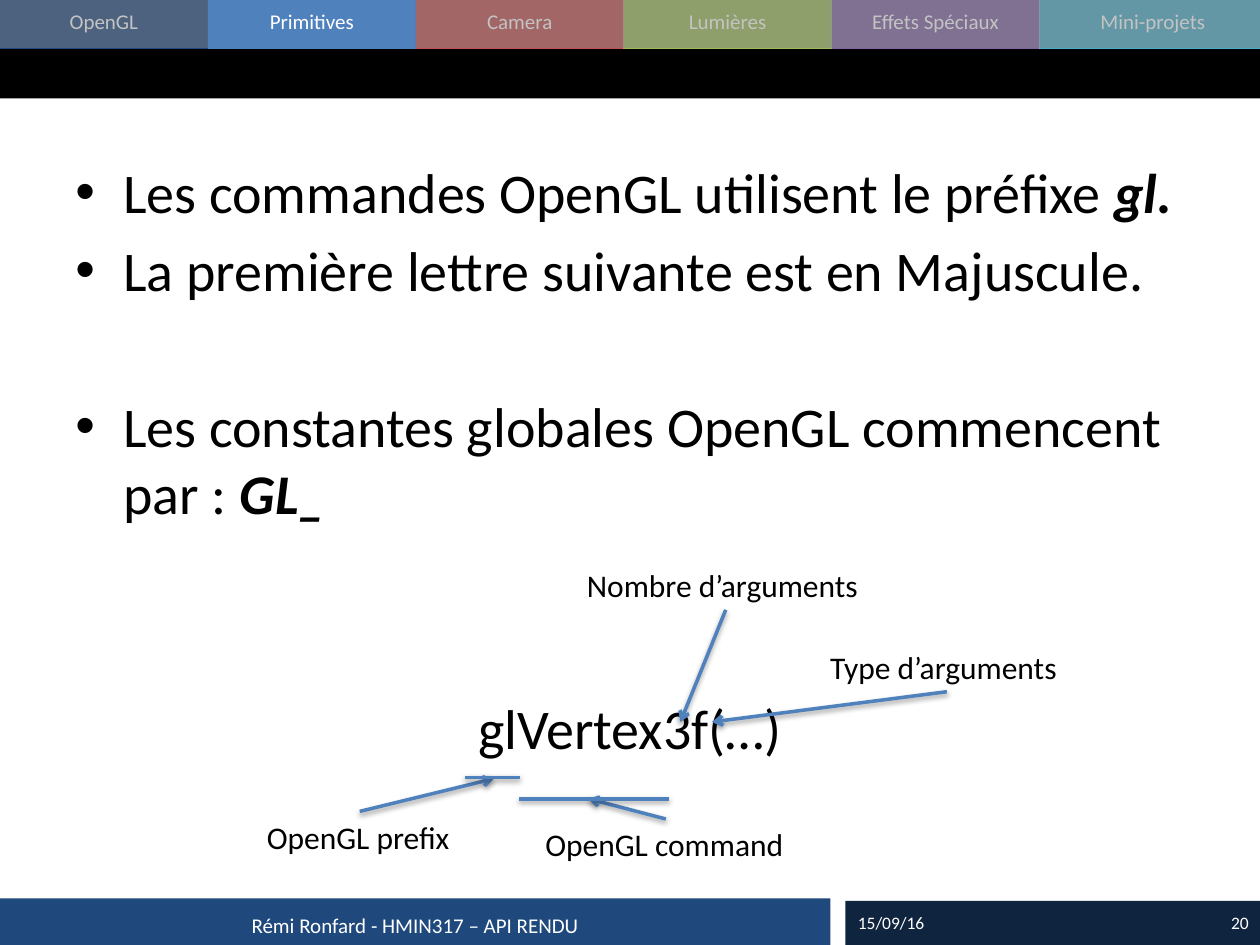
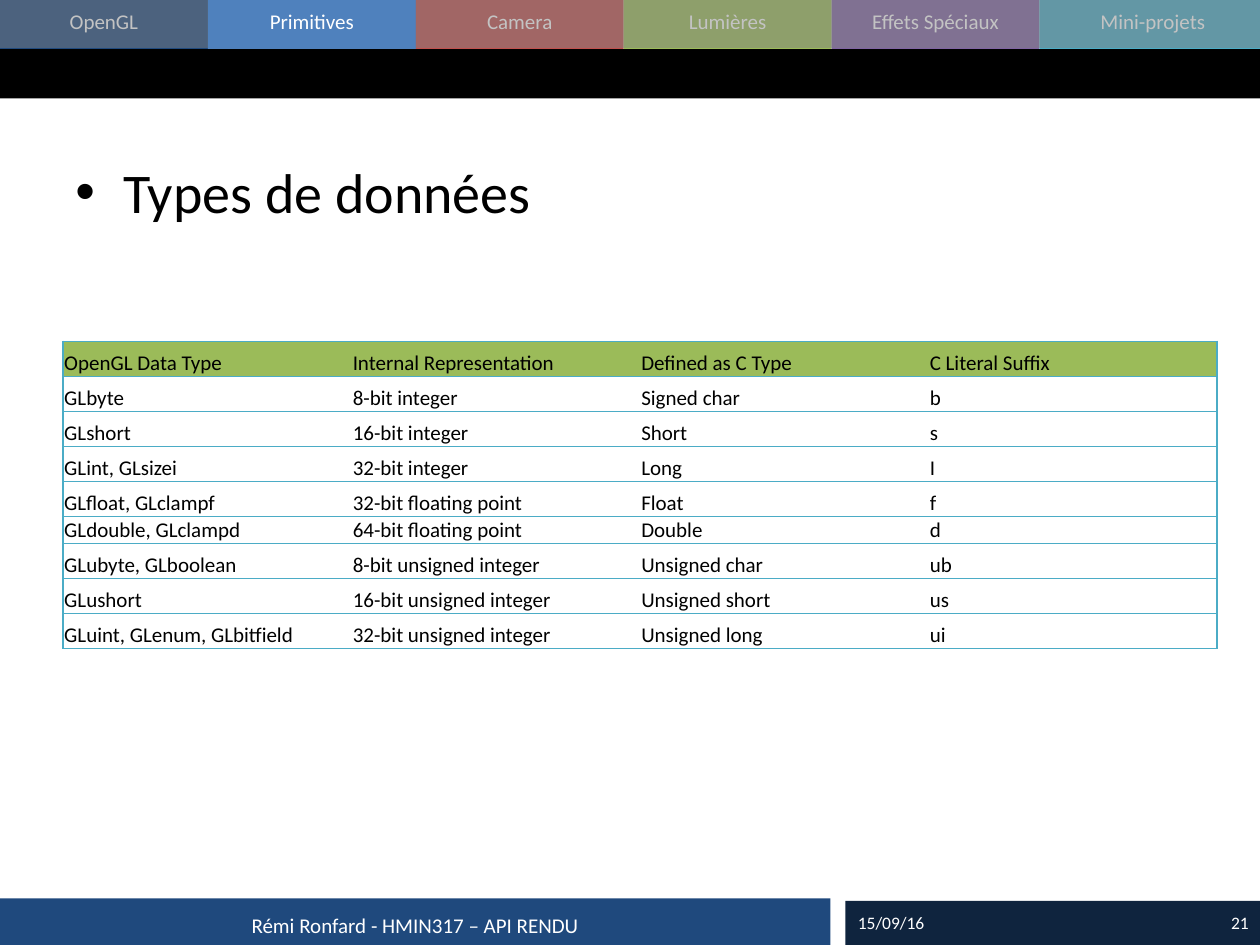
from dataclasses import dataclass
from lxml.etree import SubElement
from pptx import Presentation
from pptx.dml.color import RGBColor
from pptx.enum.shapes import MSO_CONNECTOR, MSO_SHAPE
from pptx.enum.text import MSO_ANCHOR as ANCHOR, MSO_AUTO_SIZE as AUTO, PP_ALIGN as ALIGN
from pptx.oxml.ns import qn
from pptx.util import Emu, Inches, Pt

COLORS = {
    "navy": "1F497D", "blue": "4F81BD", "red": "C0504D", "green": "9BBB59",
    "purple": "8064A2", "teal": "4BACC6", "midnight": "0F243E",
    "veil": "808080", "black": "000000", "white": "FFFFFF",
}
FONT = "Calibri"
WIDTH, HEIGHT = Inches(10), Inches(7.5)
COL, ROW = WIDTH / 100, HEIGHT / 75
TAB_W, TAB_H = 16.5, 3.9
TABS = [("OpenGL", "navy"), ("Primitives", "blue"), ("Camera", "red"),
        ("Lumières", "green"), ("Effets Spéciaux", "purple"), ("Mini-projets", "teal")]
ACTIVE_TAB = 1
NO_STYLE = "{2D5ABB26-0587-4C30-8999-92F81FD0307C}"
PARA_GAP, BLANK_LINE = 6, 45


@dataclass
class Box:
    x: float
    y: float
    w: float
    h: float

    def inner(self, x, y, w, h):
        return Box(self.x + x, self.y + y, w, h)

    def point(self, x, y):
        return self.x + x, self.y + y

    def emu(self):
        return [Emu(round(n)) for n in (self.x * COL, self.y * ROW, self.w * COL, self.h * ROW)]


HEADER = Box(0, 0, 100, 7.8)
BODY = Box(5, 12, 90, 55)
DIAGRAM = Box(20, 44, 66, 25)
TYPES = Box(5, 27.1, 91.6, 24.3)
FOOTER = Box(0, 71.3, 100, 3.7)

BULLETS = [
    ("Les commandes OpenGL utilisent le préfixe ", "gl.", 0),
    ("La première lettre suivante est en Majuscule.", "", 0),
    ("Les constantes globales OpenGL commencent par : ", "GL_", 1),
]
DATA_TYPES = [
    ("OpenGL Data Type", "Internal Representation", "Defined as C Type", "C Literal Suffix"),
    ("GLbyte", "8-bit integer", "Signed char", "b"),
    ("GLshort", "16-bit integer", "Short", "s"),
    ("GLint, GLsizei", "32-bit integer", "Long", "I"),
    ("GLfloat, GLclampf", "32-bit floating point", "Float", "f"),
    ("GLdouble, GLclampd", "64-bit floating point", "Double", "d"),
    ("GLubyte, GLboolean", "8-bit unsigned integer", "Unsigned char", "ub"),
    ("GLushort", "16-bit unsigned integer", "Unsigned short", "us"),
    ("GLuint, GLenum, GLbitfield", "32-bit unsigned integer", "Unsigned long", "ui"),
]
TIGHT_ROW = 5


def rgb(color):
    return RGBColor.from_string(COLORS[color])


def add_text(frame, text, *, size=12, color="black", align=ALIGN.LEFT,
             strong="", before=0, bullet=False):
    para = frame.paragraphs[0]
    if para.runs:
        para = frame.add_paragraph()
    para.alignment = align
    para.space_before = Pt(before)
    if bullet:
        props = para._p.get_or_add_pPr()
        props.set("marL", str(Inches(0.38)))
        props.set("indent", str(-Inches(0.38)))
        SubElement(props, qn("a:buFont"), typeface="Arial")
        SubElement(props, qn("a:buChar"), char="•")
    for words, emphasis in ((text, False), (strong, True)):
        if words:
            run = para.add_run()
            run.text = words
            run.font.name, run.font.size = FONT, Pt(size)
            run.font.bold = run.font.italic = emphasis
            run.font.color.rgb = rgb(color)


def add_frame(slide, box, anchor=ANCHOR.TOP, wrap=True):
    frame = slide.shapes.add_textbox(*box.emu()).text_frame
    frame.word_wrap = wrap
    frame.vertical_anchor = anchor
    frame.auto_size = AUTO.NONE if wrap else AUTO.SHAPE_TO_FIT_TEXT
    return frame


def add_band(slide, box, color, opacity=None):
    band = slide.shapes.add_shape(MSO_SHAPE.RECTANGLE, *box.emu())
    band.shadow.inherit = False
    band.line.fill.background()
    band.fill.solid()
    band.fill.fore_color.rgb = rgb(color)
    if opacity:
        tint = band._element.spPr.find(qn("a:solidFill"))[0]
        SubElement(tint, qn("a:alpha"), val=str(opacity * 1000))


def add_line(slide, start, end, arrow=False):
    ends = [Emu(round(n)) for x, y in (start, end) for n in (x * COL, y * ROW)]
    line = slide.shapes.add_connector(MSO_CONNECTOR.STRAIGHT, *ends)
    line.line.color.rgb = rgb("blue")
    line.line.width = Pt(2)
    props = line._element.spPr
    if arrow:
        SubElement(props.find(qn("a:ln")), qn("a:tailEnd"), type="arrow")
    effects = SubElement(props, qn("a:effectLst"))
    shadow = SubElement(effects, qn("a:outerShdw"), blurRad=str(Pt(3.1)),
                        dist=str(Pt(1.6)), dir="5400000", rotWithShape="0")
    shade = SubElement(shadow, qn("a:srgbClr"), val=COLORS["black"])
    SubElement(shade, qn("a:alpha"), val="38000")


def draw_header(slide, box):
    last = len(TABS) - 1
    tabs = [box.inner(i * TAB_W, 0, 18 if i == last else TAB_W, TAB_H) for i in range(last + 1)]
    for tab, (_, color) in zip(tabs, TABS):
        add_band(slide, tab, color)
    add_band(slide, box.inner(0, TAB_H, box.w, TAB_H), "black")
    for tab, (topic, _) in zip(tabs, TABS):
        add_text(add_frame(slide, tab.inner(0, 0.2, tab.w, 3)), topic,
                 color="white", align=ALIGN.CENTER)
    after = (ACTIVE_TAB + 1) * TAB_W
    add_band(slide, box.inner(after, 0, box.w - after, TAB_H - 0.1), "veil", 47)
    add_band(slide, box.inner(0, 0, ACTIVE_TAB * TAB_W, TAB_H - 0.1), "veil", 47)


def draw_footer(slide, box, number):
    course = box.inner(0, 0, 65.9, box.h)
    stamp = box.inner(67.1, 0.2, 32.9, box.h - 0.2)
    add_band(slide, course, "navy")
    add_band(slide, stamp, "midnight")
    for area, text, size, align in (
        (course.inner(0, 0.2, course.w, 3.8), "Rémi Ronfard - HMIN317 – API RENDU", 12, ALIGN.CENTER),
        (stamp.inner(9.7, -0.1, 23.3, 3.7), str(number), 10, ALIGN.RIGHT),
        (stamp.inner(0, -0.1, 9.8, 3.7), "15/09/16", 10, ALIGN.LEFT),
    ):
        add_text(add_frame(slide, area, ANCHOR.MIDDLE), text,
                 size=size, color="white", align=align)


def draw_naming_rules(slide, box):
    frame = add_frame(slide, box)
    for i, (rule, prefix, blanks) in enumerate(BULLETS):
        gap = PARA_GAP + blanks * BLANK_LINE if i else 0
        add_text(frame, rule, strong=prefix, size=32, bullet=True, before=gap)
    add_text(frame, "glVertex3f(…)", size=32, align=ALIGN.CENTER,
             before=PARA_GAP + 2 * BLANK_LINE)


def draw_diagram(slide, box):
    for text, label, side, target in (
        ("OpenGL prefix", (0.2, 20.4, 16.7, 4), 0, (19.2, 17.8)),
        ("OpenGL command", (22.3, 21, 21.1, 4), 0, (26.7, 19.4)),
        ("Nombre d’arguments", (25.6, 0.4, 24, 4), 1, (34, 13.3)),
        ("Type d’arguments", (44.9, 6.9, 20.5, 4), 1, (36.5, 13.3)),
    ):
        x, y, w, h = label
        add_text(add_frame(slide, box.inner(*label), wrap=False), text, size=18)
        add_line(slide, box.point(x + w / 2, y + side * h), box.point(*target), arrow=True)
    for left, right, y in ((16.9, 21.3, 17.7), (21.2, 33.1, 19.4)):
        add_line(slide, box.point(left, y), box.point(right, y))


def set_borders(cell, visible):
    props = cell._tc.get_or_add_tcPr()
    for side in "LRTB":
        edge = SubElement(props, qn(f"a:ln{side}"), w=str(Pt(1)))
        if side in visible:
            fill = SubElement(edge, qn("a:solidFill"))
            SubElement(fill, qn("a:srgbClr"), val=COLORS["teal"])
        else:
            SubElement(edge, qn("a:noFill"))


def draw_types(slide, box):
    rows, cols = len(DATA_TYPES), len(DATA_TYPES[0])
    table = slide.shapes.add_table(rows, cols, *box.emu()).table
    table._tbl.tblPr.find(qn("a:tableStyleId")).text = NO_STYLE
    for column in table.columns:
        column.width = Emu(round(box.w / cols * COL))
    for r, entries in enumerate(DATA_TYPES):
        table.rows[r].height = Emu(round((2.1 if r == TIGHT_ROW else 2.78) * ROW))
        for c, entry in enumerate(entries):
            cell = table.cell(r, c)
            cell.margin_left = cell.margin_right = cell.margin_top = Inches(0.01)
            cell.margin_bottom = 0
            cell.vertical_anchor = ANCHOR.BOTTOM
            set_borders(cell, "TB" + ("L" if c == 0 else "R" if c == cols - 1 else ""))
            cell.fill.solid()
            cell.fill.fore_color.rgb = rgb("white" if r else "green")
            add_text(cell.text_frame, entry)


def new_slide(deck, number):
    slide = deck.slides.add_slide(deck.slide_layouts[6])
    draw_header(slide, HEADER)
    draw_footer(slide, FOOTER, number)
    return slide


def main():
    deck = Presentation()
    deck.slide_width, deck.slide_height = WIDTH, HEIGHT
    naming = new_slide(deck, 20)
    draw_naming_rules(naming, BODY)
    draw_diagram(naming, DIAGRAM)
    types = new_slide(deck, 21)
    draw_types(types, TYPES)
    add_text(add_frame(types, BODY), "Types de données", size=32, bullet=True)
    deck.save("out.pptx")


if __name__ == "__main__":
    main()
